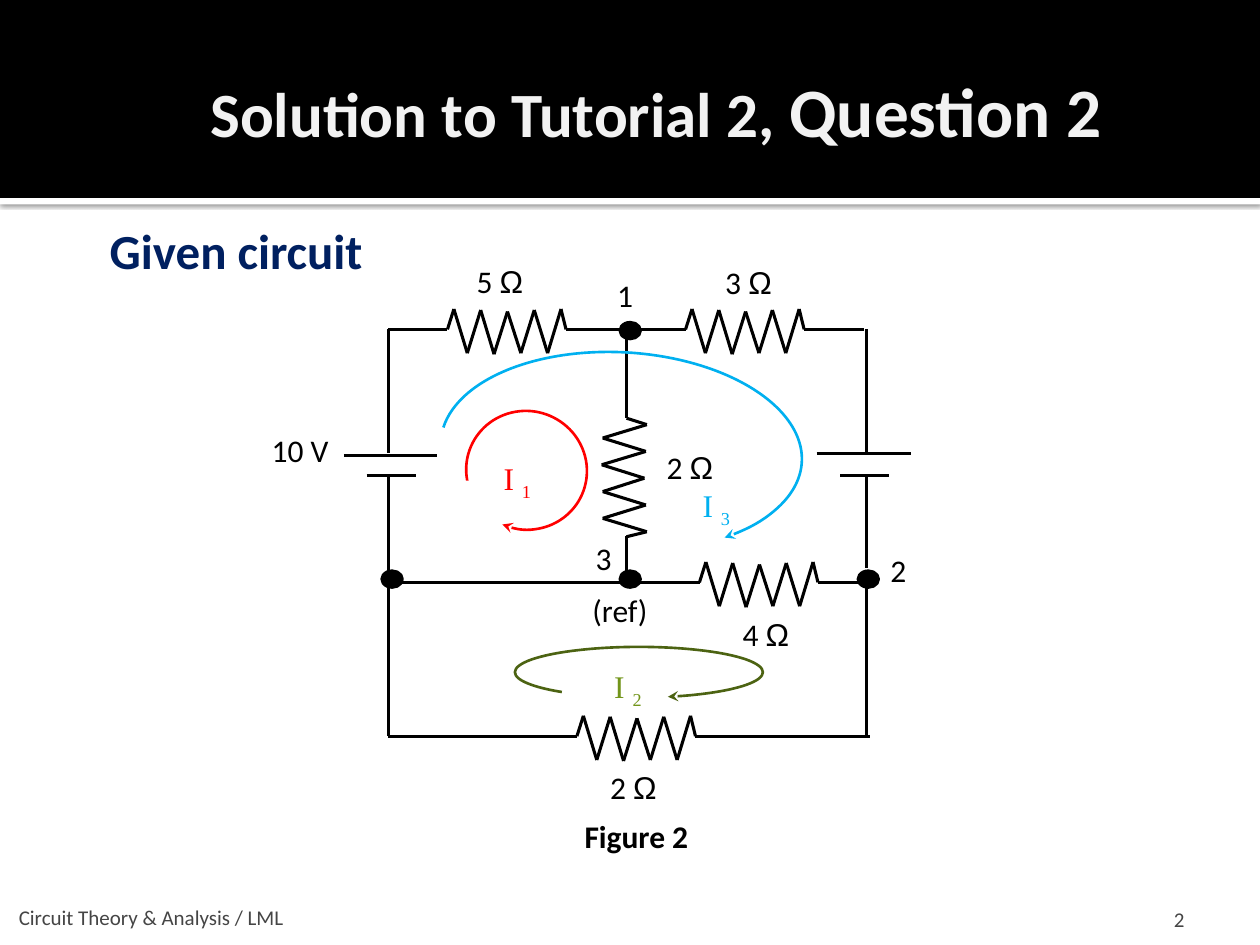
import pptx
import pptx.util
import pptx.dml.color
import pptx.enum.shapes
import pptx.enum.text
import pptx.oxml
import pptx.oxml.ns
from pptx.util import Cm, Pt

ALIGN = pptx.enum.text.PP_ALIGN
ANCHOR = pptx.enum.text.MSO_ANCHOR
SHAPE = pptx.enum.shapes.MSO_SHAPE
NAMESPACE = pptx.oxml.ns.nsdecls("a")
color = pptx.dml.color.RGBColor.from_string

presentation = pptx.Presentation()
presentation.slide_width, presentation.slide_height = Cm(25.4), Cm(19.05)
slide = presentation.slides.add_slide(presentation.slide_layouts[5])


def add_line(shapes, x1, y1, x2, y2):
    line = shapes.add_connector(pptx.enum.shapes.MSO_CONNECTOR.STRAIGHT,
                                Cm(x1), Cm(y1), Cm(x2), Cm(y2))
    line.line.color.rgb = color("000000")
    line.line.width = Pt(1.75)
    line._element.spPr.append(pptx.oxml.parse_xml(f"<a:effectLst {NAMESPACE}/>"))


def add_label(center, top, text, width=1.5, size=18, hex_color="000000", bold=False,
              font="Calibri"):
    """Add an unwrapped label centred on a point; return its paragraph."""
    box = slide.shapes.add_textbox(Cm(center - width / 2), Cm(top), Cm(width), Cm(size * 0.042))
    frame = box.text_frame
    frame.word_wrap = False
    frame.margin_left = frame.margin_right = frame.margin_top = frame.margin_bottom = 0
    paragraph = frame.paragraphs[0]
    paragraph.alignment = ALIGN.CENTER
    paragraph.font.name = font
    paragraph.font.size = Pt(size)
    paragraph.font.bold = bold
    paragraph.font.color.rgb = color(hex_color)
    paragraph.add_run().text = text
    return paragraph


# Header band and the white strip with its shadow
for top, height, fill in [(3.99, 0.13, "FFFFFF"), (0, 3.99, "000000")]:
    band = slide.shapes.add_shape(SHAPE.RECTANGLE, 0, Cm(top), Cm(25.4), Cm(height))
    band.shadow.inherit = False
    band.fill.solid()
    band.fill.fore_color.rgb = color(fill)
    band.line.fill.background()
    if fill == "FFFFFF":
        effects = band._element.spPr.find(pptx.oxml.ns.qn("a:effectLst"))
        effects.append(pptx.oxml.parse_xml(
            f'<a:outerShdw {NAMESPACE} blurRad="31750" dist="10160" dir="5400000" algn="tl" '
            'rotWithShape="0"><a:srgbClr val="000000"><a:alpha val="60000"/></a:srgbClr>'
            '</a:outerShdw>'))

# Title, brought in front of the band
title = slide.shapes.title
title.left, title.top, title.width, title.height = Cm(0.56), Cm(1.04), Cm(22.94), Cm(2.34)
slide.shapes._spTree.append(title._element)
frame = title.text_frame
frame.auto_size = pptx.enum.text.MSO_AUTO_SIZE.NONE
frame.vertical_anchor = ANCHOR.MIDDLE
frame.margin_left, frame.margin_right = Cm(3.68), Cm(0.13)
paragraph = frame.paragraphs[0]
paragraph.alignment = ALIGN.LEFT
paragraph.font.name = "Calibri"
paragraph.font.bold = True
paragraph.font.color.rgb = color("F2F2F2")
for text, size in [("Solution to Tutorial 2, ", 36), ("Question 2", 39.6)]:
    run = paragraph.add_run()
    run.text = text
    run.font.size = Pt(size)

# Circuit wires
left, middle, right = 7.83, 12.63, 17.47
top, center, bottom = 6.64, 11.74, 14.84
for x, y1, y2 in [
    (left, top, 9.14), (left, 9.58, center), (left, center, bottom),
    (middle, top, 8.1), (middle, 10.8, center),
    (right, top, 9.14), (right, 9.58, 11.46), (right, 11.79, 14.88),
]:
    add_line(slide.shapes, x, y1, x, y2)
for y, x1, x2 in [
    (top, left, 8.84), (top, 11.63, middle), (top, 12.67, 13.67), (top, 16.43, 17.42),
    (center, left, 14.12), (center, 16.54, 17.53),
    (bottom, left, 11.48), (bottom, 14.22, 17.53),
]:
    add_line(slide.shapes, x1, y, x2, y)

# Battery plates
for y, x1, x2 in [(9.19, 6.93, 8.81), (9.58, 7.39, 8.38),
                  (9.14, 16.46, 18.36), (9.58, 16.94, 17.93)]:
    add_line(slide.shapes, x1, y, x2, y)

# Resistors: zigzags with a lead at each end, as (along, across) offsets
teeth = [-0.41, 0.48, -0.39, 0.5, -0.36, 0.48, -0.39, 0.48, -0.41]
zigzag = [(0, 0), (0.33, 0)]
zigzag += [(0.46 + 0.27 * i, across) for i, across in enumerate(teeth)]
zigzag += [(2.72, 0), (3.05, 0)]
for x, y, vertical in [(8.69, top, False), (13.49, top, False), (13.77, center, False),
                       (11.3, bottom, False), (middle, 8.1, True)]:
    points = [(x - across, y + along) if vertical else (x + along, y + across)
              for along, across in zigzag]
    resistor = slide.shapes.add_group_shape()
    for start, end in zip(points, points[1:]):
        add_line(resistor.shapes, *start, *end)

# Nodes
for x, y in [(12.5, 6.5), (7.7, 11.51), (12.5, 11.51), (17.3, 11.51)]:
    node = slide.shapes.add_shape(SHAPE.OVAL, Cm(x), Cm(y), Cm(0.41), Cm(0.33))
    node.shadow.inherit = False
    node.fill.solid()
    node.fill.fore_color.rgb = color("000000")
    node.line.color.rgb = color("000000")
    node.line.width = Pt(1.75)

# Resistance values
for x, y, value in [(10.08, 5.28, 5), (15.09, 5.31, 3), (13.91, 9.04, 2),
                    (15.44, 12.4, 4), (12.77, 15.49, 2)]:
    run = add_label(x, y, f"{value} ").add_run()
    run.text = "Ω"
    run.font.name = "Arial"

# Node names, source voltage, heading and caption
for x, y, text in [(12.6, 5.56, "1"), (18.11, 11.1, "2"), (12.17, 10.87, "3"),
                   (12.5, 11.91, "(ref)"), (6.05, 8.69, "10 V")]:
    add_label(x, y, text)
add_label(4.76, 4.45, "Given circuit", width=6.05, size=28, hex_color="002060", bold=True)
add_label(12.83, 16.48, "Figure 2", width=2.5, bold=True)

# Mesh currents: arc box, rotation, arc ends, colours, label place
for number, box, rotation, ends, arc_color, text_color, x, y in [
    (1, (9.42, 8.26, 2.39, 2.44), 289.7, (144.21, 110.62), "FF0000", "FF0000", 10.43, 9.25),
    (2, (12.37, 11.05, 1.02, 5), 270, (153.34, 78.15), "4C6312", "72951A", 12.66, 13.44),
    (3, (10.52, 5.46, 4.01, 7.29), 273.3, (164.69, 75.84), "00B0F0", "00B0F0", 14.44, 9.8),
]:
    arc = slide.shapes.add_shape(SHAPE.ARC, *[Cm(length) for length in box])
    arc.rotation = rotation
    arc.adjustments[0], arc.adjustments[1] = ends
    arc.shadow.inherit = False
    arc.fill.background()
    arc.line.color.rgb = color(arc_color)
    arc.line.width = Pt(1.5)
    arc.line._get_or_add_ln().append(
        pptx.oxml.parse_xml(f'<a:tailEnd {NAMESPACE} type="stealth"/>'))
    subscript = add_label(x, y, "I ", hex_color=text_color, font="Times New Roman").add_run()
    subscript.text = str(number)
    subscript.font._element.set("baseline", "-25000")

# Footer and slide number
for x, y, width, text, alignment, margin in [
    (0.25, 17.98, 15.29, "Circuit Theory & Analysis / LML", ALIGN.LEFT, 0.13),
    (22.1, 18.03, 2.03, "2", ALIGN.RIGHT, 0.25),
]:
    frame = slide.shapes.add_textbox(Cm(x), Cm(y), Cm(width), Cm(0.76)).text_frame
    frame.word_wrap = True
    frame.vertical_anchor = ANCHOR.BOTTOM
    frame.margin_left = frame.margin_right = Cm(margin)
    frame.margin_bottom = 0
    paragraph = frame.paragraphs[0]
    paragraph.text = text
    paragraph.alignment = alignment
    paragraph.font.name = "Calibri"
    paragraph.font.size = Pt(12)
    paragraph.font.color.rgb = color("454545")

presentation.save("out.pptx")
